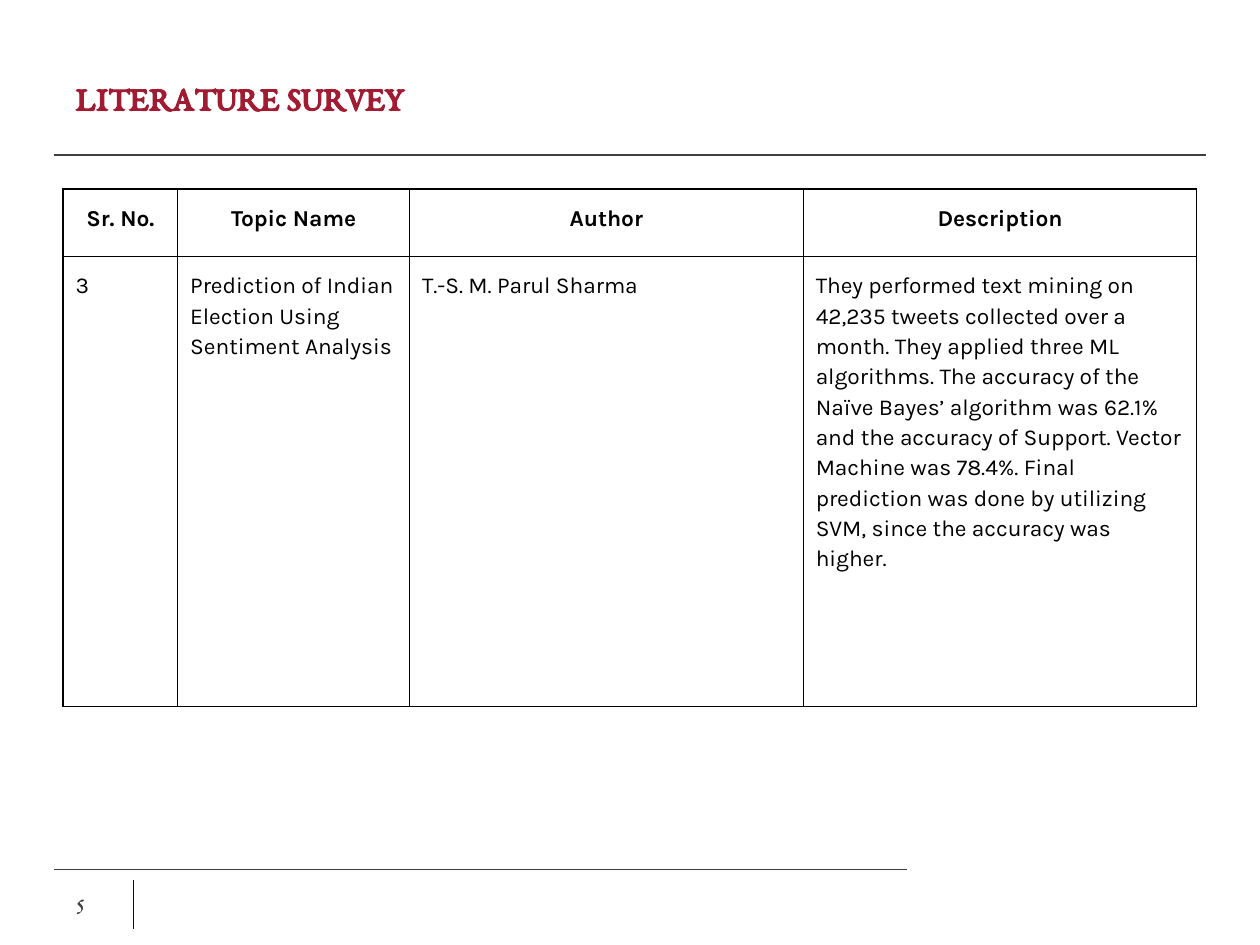
from lxml.etree import SubElement
from pptx import Presentation
from pptx.dml.color import RGBColor
from pptx.enum.shapes import MSO_CONNECTOR as Connector
from pptx.enum.text import MSO_ANCHOR as Anchor, PP_ALIGN as Align
from pptx.oxml.ns import qn
from pptx.util import Pt

HEADER = ["Sr. No.", "Topic Name", "Author", "Description"]
SURVEY = [
    "3",
    "Prediction of Indian Election Using Sentiment Analysis",
    "T.-S. M. Parul Sharma",
    "They performed text mining on 42,235 tweets collected over a month. "
    "They applied three ML algorithms. The accuracy of the Naïve Bayes’ "
    "algorithm was 62.1% and the accuracy of Support. Vector Machine was "
    "78.4%. Final prediction was done by utilizing SVM, since the accuracy "
    "was higher.",
]
COLUMN_WIDTHS = [65.5, 132.5, 225, 225]
ROW_HEIGHTS = [38.5, 257]


def color(hex_code):
    """Turn a hex string into a colour."""
    return RGBColor.from_string(hex_code)


def write(frame, text, font, size, hex_code, bold=False, align=Align.LEFT):
    """Fill a text frame with one formatted paragraph and return it."""
    frame.text = text
    frame.word_wrap = True
    paragraph = frame.paragraphs[0]
    paragraph.alignment = align
    style = paragraph.runs[0].font
    style.name, style.size, style.bold = font, Pt(size), bold
    style.color.rgb = color(hex_code)
    return paragraph


def add_title(slide, text):
    """Place and format the slide title."""
    title = slide.shapes.title
    title.left, title.top, title.width, title.height = Pt(36), Pt(21.6), Pt(648), Pt(67)
    write(title.text_frame, text, "EB Garamond", 20, "9F1C33", bold=True)
    title.text_frame.vertical_anchor = Anchor.MIDDLE


def add_page_number(slide, number):
    """Place the page number in the footer."""
    box = slide.shapes.add_textbox(Pt(36.7), Pt(500.4), Pt(37.4), Pt(28.8))
    write(box.text_frame, number, "EB Garamond", 14, "404040")
    box.text_frame.vertical_anchor = Anchor.MIDDLE


def add_rule(slide, x1, y1, x2, y2, hex_code):
    """Draw a thin straight rule without a shadow."""
    rule = slide.shapes.add_connector(Connector.STRAIGHT, Pt(x1), Pt(y1), Pt(x2), Pt(y2))
    rule.line.color.rgb = color(hex_code)
    rule.line.width = Pt(0.75)
    SubElement(rule._element.spPr, qn("a:effectLst"))


def set_borders(cell, hex_code):
    """Give a cell a thin border on all sides."""
    properties = cell._tc.get_or_add_tcPr()
    for side in ("a:lnL", "a:lnR", "a:lnT", "a:lnB"):
        border = SubElement(properties, qn(side), w=str(Pt(0.75)))
        fill = SubElement(border, qn("a:solidFill"))
        SubElement(fill, qn("a:srgbClr"), val=hex_code)


def format_cell(cell, text, is_header):
    """Write and style one table cell."""
    align = Align.CENTER if is_header else Align.LEFT
    paragraph = write(cell.text_frame, text, "Karla", 13, "000000", is_header, align)
    paragraph.line_spacing = 1.15
    cell.margin_left = cell.margin_right = Pt(7.2)
    cell.margin_top = cell.margin_bottom = Pt(7.2)
    cell.vertical_anchor = Anchor.TOP
    set_borders(cell, "000000")
    cell.fill.background()


def add_survey_table(slide, rows):
    """Add the table of surveyed papers."""
    table = slide.shapes.add_table(
        len(rows), len(HEADER), Pt(36), Pt(108),
        Pt(sum(COLUMN_WIDTHS)), Pt(sum(ROW_HEIGHTS))).table
    table.horz_banding = False
    for column, width in zip(table.columns, COLUMN_WIDTHS):
        column.width = Pt(width)
    for index, (row, height, texts) in enumerate(zip(table.rows, ROW_HEIGHTS, rows)):
        row.height = Pt(height)
        for cell, text in zip(row.cells, texts):
            format_cell(cell, text, index == 0)


def main():
    """Build the literature survey slide."""
    presentation = Presentation()
    presentation.slide_width, presentation.slide_height = Pt(720), Pt(540)
    slide = presentation.slides.add_slide(presentation.slide_layouts[5])
    add_rule(slide, 31, 88.6, 689, 88.6, "3F3F3F")
    add_rule(slide, 31, 496.8, 518.4, 496.8, "3F3F3F")
    add_rule(slide, 76.3, 502.6, 76.3, 530.6, "0C0C0C")
    add_title(slide, "LITERATURE SURVEY")
    add_page_number(slide, "5")
    add_survey_table(slide, [HEADER, SURVEY])
    presentation.save("out.pptx")


if __name__ == "__main__":
    main()
